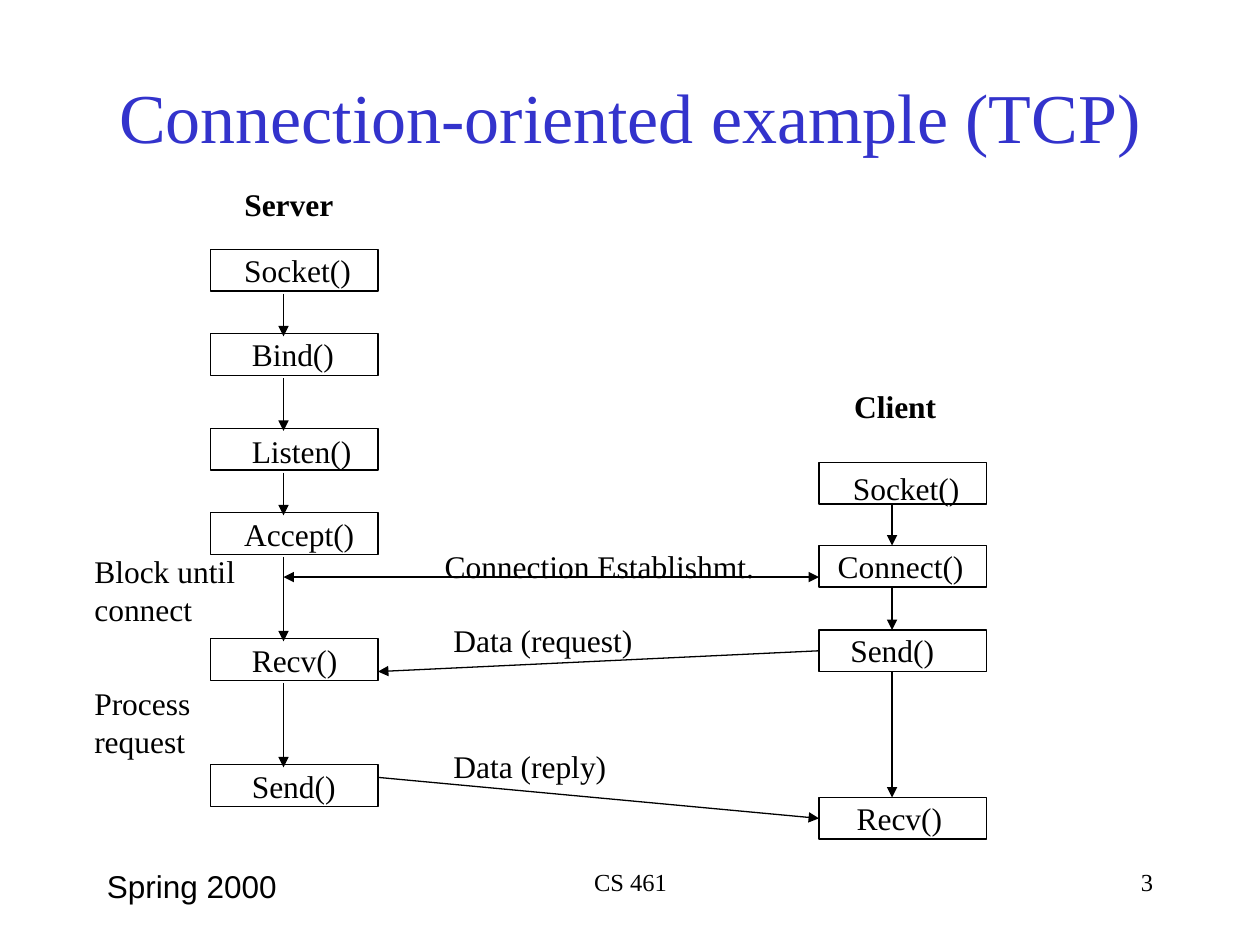
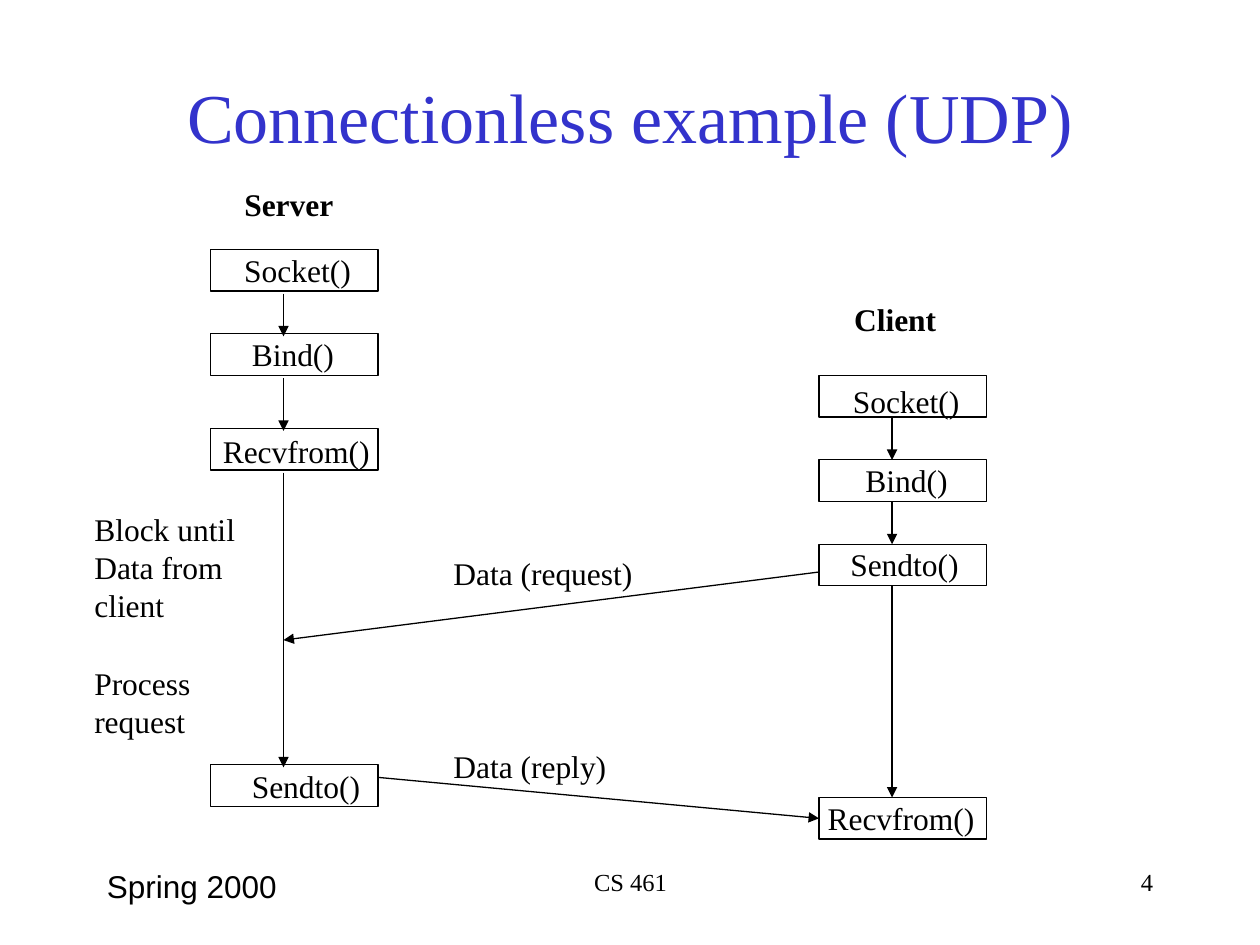
from lxml.etree import SubElement
from pptx import Presentation
from pptx.dml.color import RGBColor
from pptx.enum.shapes import MSO_CONNECTOR, MSO_SHAPE
from pptx.enum.text import MSO_ANCHOR, MSO_AUTO_SIZE, PP_ALIGN
from pptx.oxml.ns import qn
from pptx.util import Inches, Pt

COLORS = {"title": "3333CC", "ink": "000000"}
SERIF, SANS = "Times New Roman", "Arial"
LEFT_SIDE = 1

BOX_WIDTH, BOX_HEIGHT = 1.33, 0.33
SERVER_LEFT, SERVER_ARROW = 1.67, 2.25
CLIENT_LEFT, CLIENT_ARROW = 6.5, 7.08
SERVER_RIGHT = SERVER_LEFT + BOX_WIDTH

# Width of each label's text box
LABEL_WIDTHS = {
    "Server": 0.91, "Client": 0.85, "Socket()": 1.04, "Bind()": 0.85,
    "Listen()": 0.99, "Accept()": 1.07, "Recv()": 0.88, "Send()": 0.86,
    "Connect()": 1.2, "Recvfrom()": 1.36, "Sendto()": 1.06,
    "Block until\nconnect": 1.32, "Block until\nData from\nclient": 1.32,
    "Process\nrequest": 0.96, "Connection Establishmt.": 2.66,
    "Data (request)": 1.62, "Data (reply)": 1.41,
}


def color(name):
    return RGBColor.from_string(COLORS[name])


def add_text(page, text, left, top, width, height, size=18, font=SERIF,
             ink="ink", bold=False, align=PP_ALIGN.LEFT, wrap=True):
    box = page.shapes.add_textbox(Inches(left), Inches(top), Inches(width), Inches(height))
    frame = box.text_frame
    frame.word_wrap = wrap
    frame.text = text
    for paragraph in frame.paragraphs:
        paragraph.alignment = align
        paragraph.font.size = Pt(size)
        paragraph.font.name = font
        paragraph.font.bold = bold
        paragraph.font.color.rgb = color(ink)
    return box


def add_label(page, text, left, top, bold=False):
    """Add an unwrapped label whose height follows its line count."""
    height = 0.1 + 0.3 * len(text.split("\n"))
    box = add_text(page, text, left, top, LABEL_WIDTHS[text], height, bold=bold, wrap=False)
    # A narrow right margin keeps each line whole in its tight box
    box.text_frame.margin_right = Inches(0.05)
    box.text_frame.auto_size = MSO_AUTO_SIZE.SHAPE_TO_FIT_TEXT


def add_box(page, left, top):
    box = page.shapes.add_shape(MSO_SHAPE.RECTANGLE, Inches(left), Inches(top),
                                Inches(BOX_WIDTH), Inches(BOX_HEIGHT))
    box.shadow.inherit = False
    box.fill.background()
    box.line.color.rgb = color("ink")
    box.line.width = Pt(0.75)
    return box


def add_arrow(page, start, end, both_ends=False):
    arrow = page.shapes.add_connector(MSO_CONNECTOR.STRAIGHT, *map(Inches, start + end))
    arrow.line.color.rgb = color("ink")
    arrow.line.width = Pt(0.75)
    properties = arrow._element.spPr
    line = properties.find(qn("a:ln"))
    if both_ends:
        SubElement(line, qn("a:headEnd"), type="triangle")
    SubElement(line, qn("a:tailEnd"), type="triangle")
    SubElement(properties, qn("a:effectLst"))
    return arrow


def add_call_column(page, left, arrow_x, steps, gap=0.0, overlap=0.0):
    """Stack call boxes linked by arrows; a step is (call, top, label left, label top)."""
    boxes = []
    for call, top, label_left, label_top in steps:
        boxes.append(add_box(page, left, top))
        add_label(page, call, label_left, label_top)
    tops = [step[1] for step in steps]
    for top, next_top in zip(tops, tops[1:]):
        add_arrow(page, (arrow_x, top + BOX_HEIGHT + gap), (arrow_x, next_top + overlap))
    return boxes


def add_page(deck, title, number):
    """Add a page with the shared title and footers."""
    page = deck.slides.add_slide(deck.slide_layouts[6])
    heading = add_text(page, title, 0.75, 0.5, 8.5, 0.83, size=40, ink="title",
                       align=PP_ALIGN.CENTER)
    heading.text_frame.vertical_anchor = MSO_ANCHOR.MIDDLE
    add_text(page, "Spring 2000", 0.75, 6.83, 2.08, 0.5, font=SANS)
    add_text(page, "CS 461", 3.42, 6.83, 3.17, 0.5, size=14, align=PP_ALIGN.CENTER)
    add_text(page, str(number), 7.17, 6.83, 2.08, 0.5, size=14, align=PP_ALIGN.RIGHT)
    return page


def add_exchange(page, server_steps, client_steps, client_top, notes):
    """Draw both columns, the side notes and the reply; return the client boxes."""
    add_label(page, "Server", 1.84, 1.42, bold=True)
    add_label(page, "Client", 6.68, client_top, bold=True)
    add_call_column(page, SERVER_LEFT, SERVER_ARROW, server_steps, gap=0.02, overlap=0.02)
    client_boxes = add_call_column(page, CLIENT_LEFT, CLIENT_ARROW, client_steps)
    for note, top in notes:
        add_label(page, note, 0.65, top)
    reply = add_arrow(page, (SERVER_RIGHT, 6.17), (CLIENT_LEFT, 6.5))
    reply.end_connect(client_boxes[-1], LEFT_SIDE)
    add_label(page, "Data (reply)", 3.5, 5.88)
    return client_boxes


def add_tcp_page(deck):
    page = add_page(deck, "Connection-oriented example (TCP)", 3)
    server_steps = [
        ("Socket()", 1.98, 1.84, 1.94),
        ("Bind()", 2.65, 1.9, 2.61),
        ("Listen()", 3.4, 1.9, 3.38),
        ("Accept()", 4.07, 1.84, 4.04),
        ("Recv()", 5.07, 1.9, 5.04),
        ("Send()", 6.07, 1.9, 6.04),
    ]
    client_steps = [
        ("Socket()", 3.67, 6.67, 3.67),
        ("Connect()", 4.33, 6.55, 4.29),
        ("Send()", 5, 6.65, 4.96),
        ("Recv()", 6.33, 6.7, 6.29),
    ]
    notes = [("Block until\nconnect", 4.33), ("Process\nrequest", 5.38)]
    client_boxes = add_exchange(page, server_steps, client_steps, 3.02, notes)

    # Handshake and request
    add_arrow(page, (CLIENT_LEFT, 4.58), (SERVER_ARROW, 4.58), both_ends=True)
    add_label(page, "Connection Establishmt.", 3.43, 4.29)
    request = add_arrow(page, (CLIENT_LEFT, 5.17), (SERVER_RIGHT, 5.33))
    request.begin_connect(client_boxes[2], LEFT_SIDE)
    add_label(page, "Data (request)", 3.5, 4.88)


def add_udp_page(deck):
    page = add_page(deck, "Connectionless example (UDP)", 4)
    server_steps = [
        ("Socket()", 1.98, 1.84, 1.94),
        ("Bind()", 2.65, 1.9, 2.61),
        ("Recvfrom()", 3.4, 1.67, 3.38),
        ("Sendto()", 6.07, 1.9, 6.04),
    ]
    client_steps = [
        ("Socket()", 2.98, 6.67, 2.98),
        ("Bind()", 3.65, 6.77, 3.61),
        ("Sendto()", 4.32, 6.65, 4.28),
        ("Recvfrom()", 6.33, 6.47, 6.29),
    ]
    notes = [("Block until\nData from\nclient", 4), ("Process\nrequest", 5.22)]
    add_exchange(page, server_steps, client_steps, 2.33, notes)

    # Request
    add_arrow(page, (CLIENT_LEFT, 4.54), (SERVER_ARROW, 5.08))
    add_label(page, "Data (request)", 3.5, 4.35)


def main():
    deck = Presentation()
    deck.slide_width, deck.slide_height = Inches(10), Inches(7.5)
    add_tcp_page(deck)
    add_udp_page(deck)
    deck.save("out.pptx")


if __name__ == "__main__":
    main()
